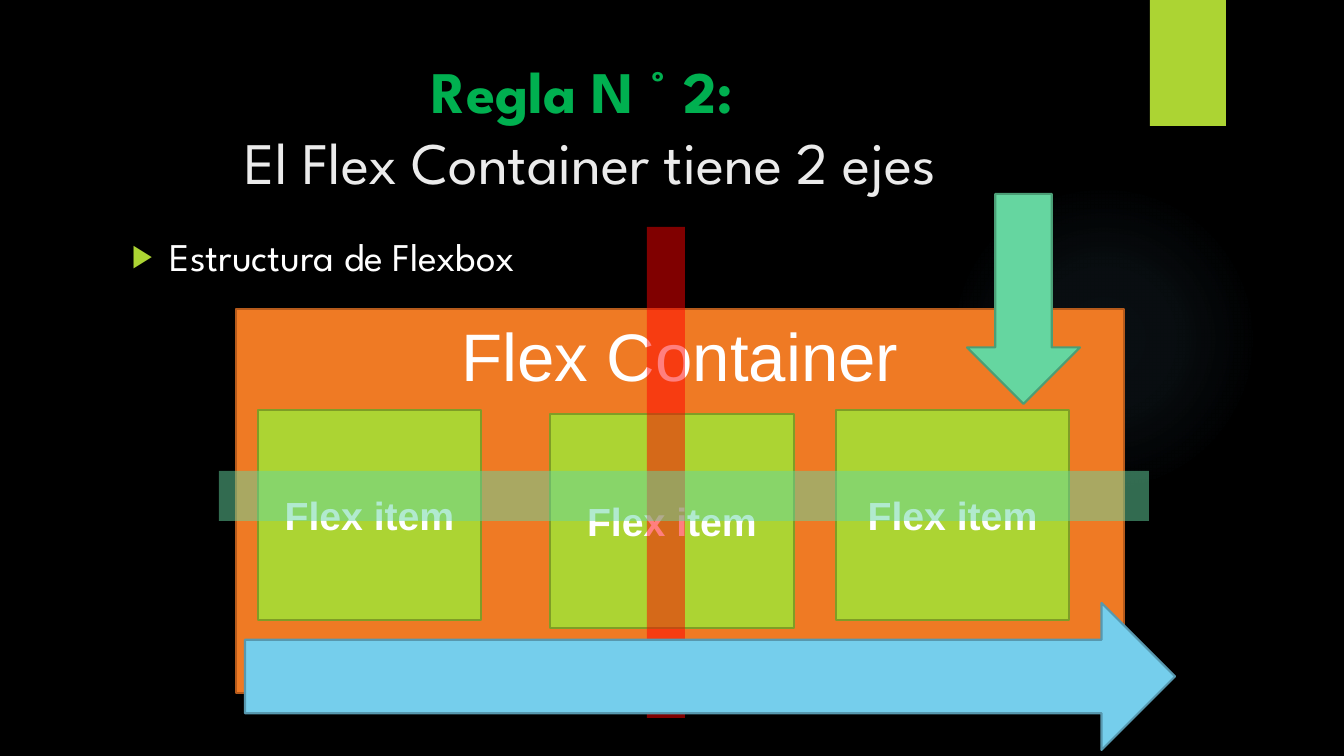
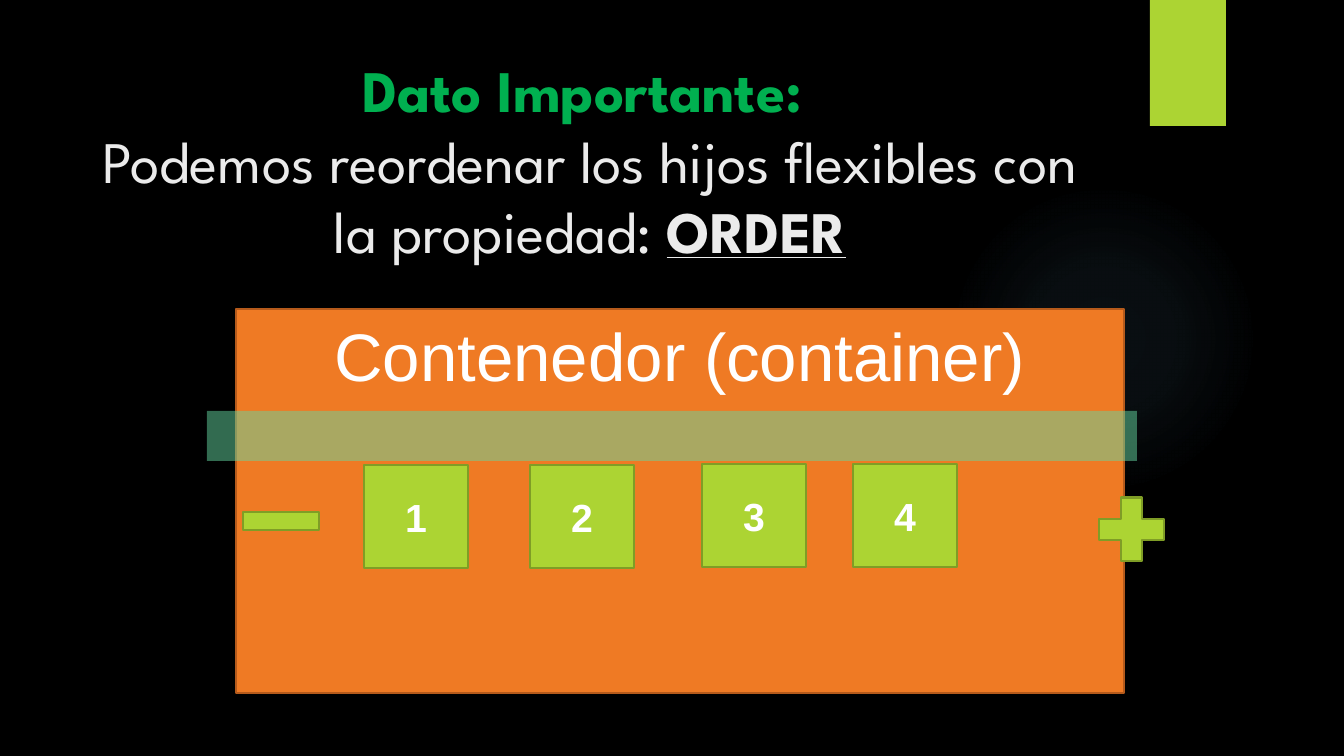
"""Build two slides about the axes and the item order of a flex container."""
from dataclasses import dataclass
from typing import Optional

import lxml.etree
import pptx
import pptx.dml.color
import pptx.enum.shapes
import pptx.enum.text
import pptx.oxml
import pptx.oxml.ns
import pptx.presentation
import pptx.shapes.autoshape
import pptx.slide
import pptx.text.text
import pptx.util

RGB = pptx.dml.color.RGBColor
SHAPE = pptx.enum.shapes.MSO_SHAPE
ANCHOR = pptx.enum.text.MSO_ANCHOR
ALIGN = pptx.enum.text.PP_ALIGN
Box = tuple[int, int, int, int]

SLIDE_WIDTH, SLIDE_HEIGHT = 1344, 756
EMU_PER_PX = 12192000 / SLIDE_WIDTH

BLACK = RGB(0x00, 0x00, 0x00)
WHITE = RGB(0xFF, 0xFF, 0xFF)
TITLE_GREEN = RGB(0x00, 0xB0, 0x50)
TITLE_GREY = RGB(0xEB, 0xEB, 0xEB)
GLOW_BLUE = RGB(0x7A, 0xC4, 0xF0)
LIME = RGB(0xAC, 0xD4, 0x33)
LIME_EDGE = RGB(0x7F, 0x9D, 0x26)
ORANGE = RGB(0xEF, 0x7A, 0x24)
ORANGE_EDGE = RGB(0xB5, 0x5A, 0x1B)
MINT = RGB(0x65, 0xD6, 0xA0)
MINT_EDGE = RGB(0x4B, 0x9E, 0x76)
SKY = RGB(0x75, 0xCE, 0xEC)
SKY_EDGE = RGB(0x57, 0x98, 0xAF)
RED = RGB(0xFF, 0x00, 0x00)

HEADING_FONT = "League Spartan"
LABEL_FONT = "Arial"
TITLE_SIZE = 42
GLOW_STOPS = ((0, 7), (36, 6), (69, 0))
AXIS_SIZE = (930, 50)


@dataclass(frozen=True)
class Figure:
    """A filled preset shape with an optional label."""

    box: Box
    fill: RGB
    edge: Optional[RGB] = None
    kind: SHAPE = SHAPE.RECTANGLE
    opacity: int = 100
    label: str = ""
    size: int = 28
    bold: bool = True
    anchor: ANCHOR = ANCHOR.MIDDLE


@dataclass(frozen=True)
class TitlePart:
    """A run of the title."""

    text: str
    color: RGB = TITLE_GREY
    bold: bool = False
    underline: bool = False


def px(length: int) -> int:
    """Turn pixels into EMU."""
    return round(length * EMU_PER_PX)


def format_run(run: pptx.text.text._Run, font: str, size: int, color: RGB, bold: bool = False) -> None:
    """Set the look of a run."""
    run.font.name = font
    run.font.size = pptx.util.Pt(size)
    run.font.bold = bold
    run.font.color.rgb = color


def draw_figure(slide: pptx.slide.Slide, figure: Figure) -> pptx.shapes.autoshape.Shape:
    """Draw a figure with its fill, edge and label."""
    shape = slide.shapes.add_shape(figure.kind, *map(px, figure.box))
    shape.shadow.inherit = False
    shape.fill.solid()
    shape.fill.fore_color.rgb = figure.fill
    if figure.opacity < 100:
        color = shape.fill._xPr.find(".//" + pptx.oxml.ns.qn("a:srgbClr"))
        alpha = lxml.etree.SubElement(color, pptx.oxml.ns.qn("a:alpha"))
        alpha.set("val", str(figure.opacity * 1000))
    if figure.edge is None:
        shape.line.fill.background()
    else:
        shape.line.color.rgb = figure.edge
        shape.line.width = pptx.util.Pt(1.5)
    if figure.label:
        shape.text_frame.text = figure.label
        shape.text_frame.vertical_anchor = figure.anchor
        paragraph = shape.text_frame.paragraphs[0]
        paragraph.alignment = ALIGN.CENTER
        format_run(paragraph.runs[0], LABEL_FONT, figure.size, WHITE, figure.bold)
    return shape


def draw_glow(slide: pptx.slide.Slide) -> None:
    """Draw the faint round glow behind the content."""
    glow = draw_figure(slide, Figure((949, 184, 310, 310), GLOW_BLUE, kind=SHAPE.OVAL))
    stops = "".join(
        f'<a:gs pos="{position * 1000}"><a:srgbClr val="{GLOW_BLUE}">'
        f'<a:alpha val="{opacity * 1000}"/></a:srgbClr></a:gs>'
        for position, opacity in GLOW_STOPS
    )
    gradient = pptx.oxml.parse_xml(
        f'<a:gradFill {pptx.oxml.ns.nsdecls("a")} rotWithShape="1"><a:gsLst>{stops}</a:gsLst>'
        '<a:path path="circle"><a:fillToRect l="50000" t="50000" r="50000" b="50000"/></a:path></a:gradFill>'
    )
    properties = glow._element.spPr
    properties.replace(properties.find(pptx.oxml.ns.qn("a:solidFill")), gradient)


def write_title(slide: pptx.slide.Slide, box: Box, lead: str, parts: list[TitlePart]) -> None:
    """Place the title and write its green lead above the remaining parts."""
    title = slide.shapes.title
    title.left, title.top, title.width, title.height = map(px, box)
    frame = title.text_frame
    frame.auto_size = pptx.enum.text.MSO_AUTO_SIZE.NONE
    frame.vertical_anchor = ANCHOR.TOP
    paragraph = frame.paragraphs[0]
    paragraph.alignment = ALIGN.CENTER
    paragraph.text = lead + "\v"
    format_run(paragraph.runs[0], HEADING_FONT, TITLE_SIZE, TITLE_GREEN, True)
    for part in parts:
        run = paragraph.add_run()
        run.text = part.text
        format_run(run, HEADING_FONT, TITLE_SIZE, part.color, part.bold)
        if part.underline:
            run.font.underline = True


def write_bullet(slide: pptx.slide.Slide, box: Box, text: str) -> None:
    """Write a line of text led by a lime triangle."""
    frame = slide.shapes.add_textbox(*map(px, box)).text_frame
    frame.word_wrap = True
    frame.text = text
    paragraph = frame.paragraphs[0]
    paragraph.space_before = pptx.util.Pt(10)
    format_run(paragraph.runs[0], HEADING_FONT, 28, WHITE)
    properties = paragraph._p.get_or_add_pPr()
    properties.set("marL", str(px(38)))
    properties.set("indent", str(-px(38)))
    color = lxml.etree.SubElement(properties, pptx.oxml.ns.qn("a:buClr"))
    lxml.etree.SubElement(color, pptx.oxml.ns.qn("a:srgbClr")).set("val", str(LIME))
    lxml.etree.SubElement(properties, pptx.oxml.ns.qn("a:buSzPct")).set("val", "80000")
    lxml.etree.SubElement(properties, pptx.oxml.ns.qn("a:buFont")).set("typeface", LABEL_FONT)
    lxml.etree.SubElement(properties, pptx.oxml.ns.qn("a:buChar")).set("char", "▶")


def add_slide(presentation: pptx.presentation.Presentation) -> pptx.slide.Slide:
    """Add a title-only slide with the shared glow and corner tab."""
    slide = presentation.slides.add_slide(presentation.slide_layouts[5])
    draw_glow(slide)
    draw_figure(slide, Figure((1150, 0, 76, 126), LIME))
    return slide


def container(label: str) -> Figure:
    """Describe the orange container."""
    return Figure((236, 309, 888, 384), ORANGE, ORANGE_EDGE, label=label, size=48, bold=False, anchor=ANCHOR.TOP)


def item(box: Box, label: str = "", kind: SHAPE = SHAPE.RECTANGLE) -> Figure:
    """Describe a lime item."""
    return Figure(box, LIME, LIME_EDGE, kind, label=label)


def main_axis(left: int, top: int) -> Figure:
    """Describe the translucent horizontal axis."""
    return Figure((left, top, *AXIS_SIZE), MINT, opacity=50)


def build_axes_slide(presentation: pptx.presentation.Presentation) -> None:
    """Build the slide on the two axes."""
    slide = add_slide(presentation)
    write_title(slide, (72, 50, 1037, 154), "Regla N ° 2: ", [TitlePart("El Flex Container tiene 2 ejes")])
    write_bullet(slide, (122, 227, 986, 83), "Estructura de Flexbox")
    item_boxes = ((836, 410, 233, 210), (550, 414, 244, 214), (258, 410, 223, 210))
    figures = [
        container("Flex Container"),
        *(item(box, "Flex item") for box in item_boxes),
        Figure((647, 227, 38, 491), RED, opacity=50),
        main_axis(219, 471),
        Figure((245, 603, 930, 147), SKY, SKY_EDGE, SHAPE.RIGHT_ARROW),
        Figure((967, 194, 113, 210), MINT, MINT_EDGE, SHAPE.DOWN_ARROW),
    ]
    for figure in figures:
        draw_figure(slide, figure)


def build_order_slide(presentation: pptx.presentation.Presentation) -> None:
    """Build the slide on the order property."""
    slide = add_slide(presentation)
    parts = [
        TitlePart("Podemos reordenar los hijos flexibles con la propiedad: "),
        TitlePart("ORDER", bold=True, underline=True),
    ]
    write_title(slide, (72, 49, 1036, 253), "Dato Importante: ", parts)
    corners = ((364, 465), (530, 465), (702, 464), (853, 464))
    figures = [
        container("Contenedor (container)"),
        *(item((*corner, 104, 103), str(number)) for number, corner in enumerate(corners, 1)),
        main_axis(207, 411),
        item((229, 482, 104, 78), kind=SHAPE.MATH_MINUS),
        item((1087, 486, 89, 87), kind=SHAPE.MATH_PLUS),
    ]
    for figure in figures:
        draw_figure(slide, figure)


def main() -> None:
    """Build and save the presentation."""
    presentation = pptx.Presentation()
    presentation.slide_width = px(SLIDE_WIDTH)
    presentation.slide_height = px(SLIDE_HEIGHT)
    background = presentation.slide_master.background.fill
    background.solid()
    background.fore_color.rgb = BLACK
    build_axes_slide(presentation)
    build_order_slide(presentation)
    presentation.save("out.pptx")


if __name__ == "__main__":
    main()
